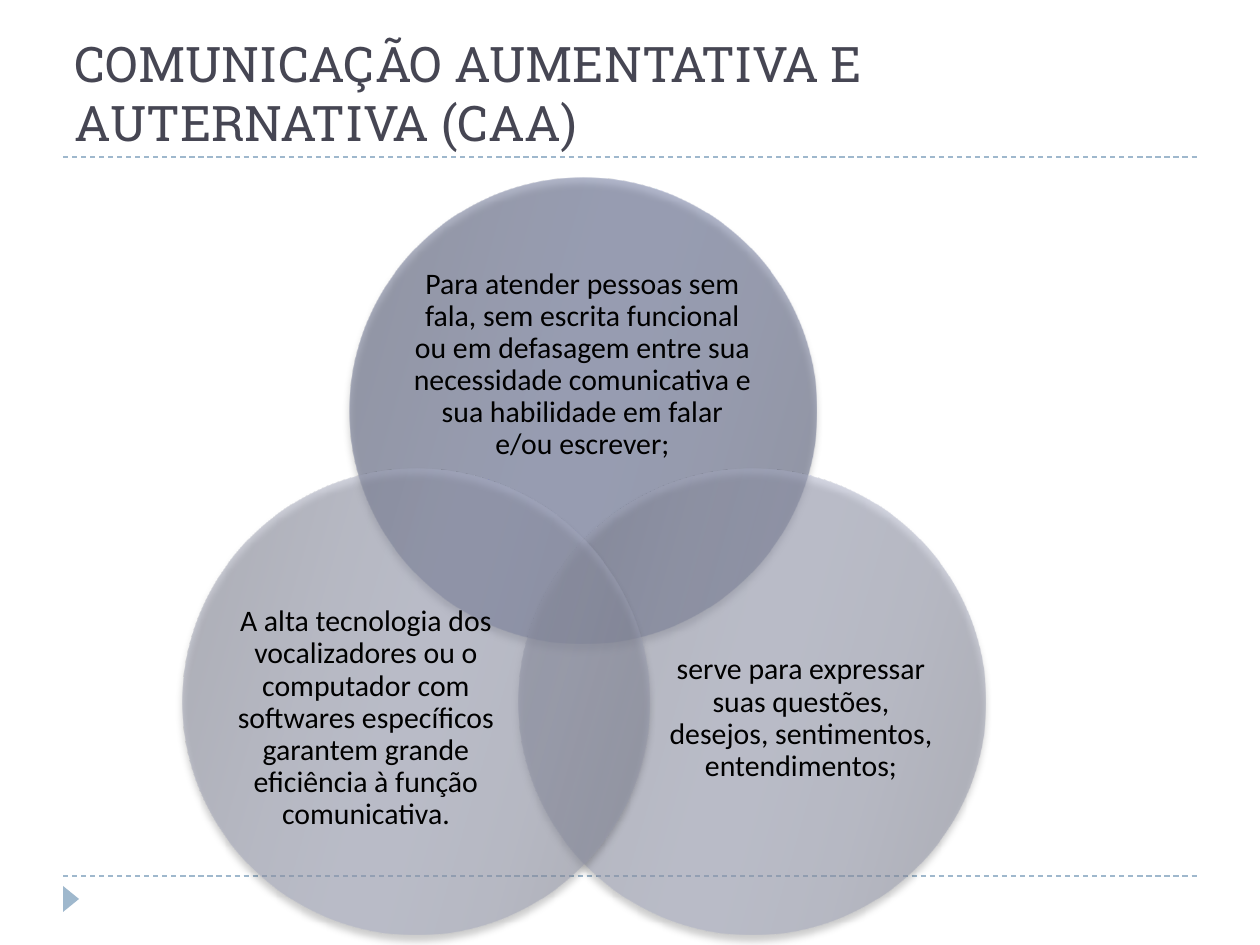
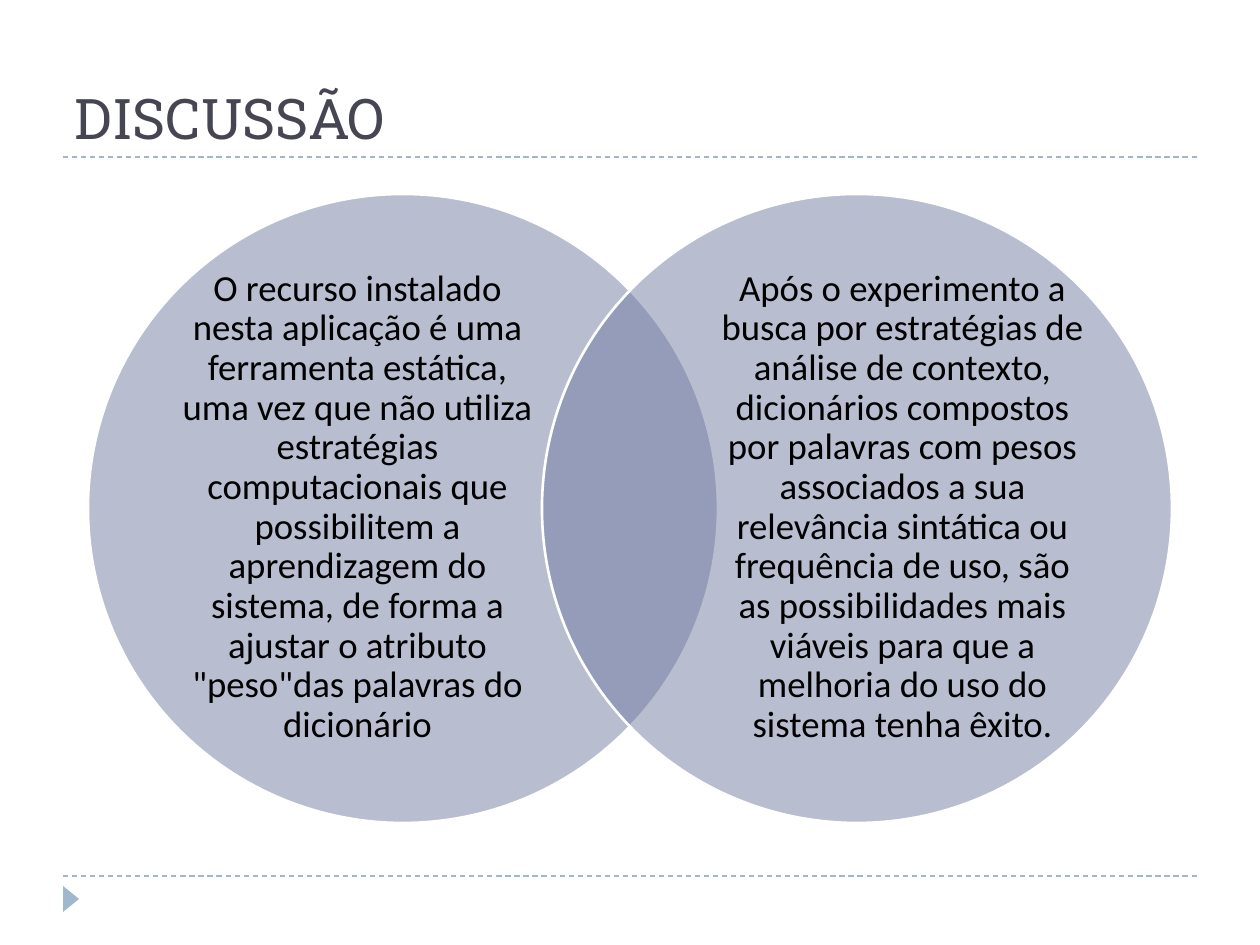
from lxml import etree
from pptx import Presentation
from pptx.dml.color import RGBColor
from pptx.enum.dml import MSO_LINE
from pptx.enum.shapes import MSO_CONNECTOR, MSO_SHAPE
from pptx.enum.text import MSO_ANCHOR, PP_ALIGN
from pptx.oxml.ns import qn
from pptx.util import Emu, Pt

OVAL = MSO_SHAPE.OVAL
TRIANGLE = MSO_SHAPE.ISOSCELES_TRIANGLE
STRAIGHT = MSO_CONNECTOR.STRAIGHT
DASH = MSO_LINE.DASH
BOTTOM, MIDDLE = MSO_ANCHOR.BOTTOM, MSO_ANCHOR.MIDDLE
LEFT, CENTER = PP_ALIGN.LEFT, PP_ALIGN.CENTER

# Colours
WHITE = RGBColor(0xFF, 0xFF, 0xFF)
BLACK = RGBColor(0x00, 0x00, 0x00)
TITLE_GREY = RGBColor(0x46, 0x46, 0x53)
PALE_BLUE = RGBColor(0x9F, 0xB8, 0xCD)
VIOLET = RGBColor(0x72, 0x7C, 0xA3)

# Sheen of a circle: edge, shoulder and centre colours
DARK_SHEEN = (RGBColor(0x55, 0x5C, 0x79), RGBColor(0x61, 0x6A, 0x8F),
              RGBColor(0x63, 0x6E, 0x98))
LIGHT_SHEEN = (RGBColor(0x8B, 0x8E, 0x9E), RGBColor(0xA1, 0xA5, 0xBA),
               RGBColor(0xA7, 0xAC, 0xC3))
SHEEN_STOPS = ((0, 0), (30, 1), (45, 2), (55, 2), (73, 1), (100, 0))
SHEEN_ANGLE = 16

TITLE_FONT, BODY_FONT = "Roboto Slab", "Calibri"
PX_PER_INCH = 126


def px(n):
    return Emu(round(n * 914400 / PX_PER_INCH))


def add_xml(parent, tag, **attrs):
    return etree.SubElement(parent, qn(tag), {k: str(v) for k, v in attrs.items()})


def add_alpha(color, percent):
    add_xml(color, "a:alpha", val=percent * 1000)


class Deck:
    def __init__(self):
        self.prs = Presentation()
        self.prs.slide_width, self.prs.slide_height = px(1260), px(945)
        self.s = None

    def slide(self, title, size):
        self.s = self.prs.slides.add_slide(self.prs.slide_layouts[6])
        self.s.background.fill.solid()
        self.s.background.fill.fore_color.rgb = WHITE
        for y in (876, 157):
            self.rule(y)
        self.marker()
        self.text(title, (63, 21, 1134, 136), size, TITLE_FONT, TITLE_GREY,
                  LEFT, BOTTOM, margins=(12, 6))

    def rule(self, y):
        line = self.s.shapes.add_connector(STRAIGHT, px(63), px(y), px(1197), px(y))
        line.line.color.rgb = PALE_BLUE
        line.line.width = Pt(0.75)
        line.line.dash_style = DASH
        add_xml(line._element.spPr, "a:effectLst")

    def shape(self, kind, box):
        sp = self.s.shapes.add_shape(kind, *map(px, box))
        sp.shadow.inherit = False
        sp.line.fill.background()
        return sp

    def marker(self):
        sp = self.shape(TRIANGLE, (58, 891, 26, 16))
        sp.rotation = 90
        sp.fill.solid()
        sp.fill.fore_color.rgb = PALE_BLUE

    def flat_circle(self, box):
        sp = self.shape(OVAL, box)
        sp.fill.solid()
        sp.fill.fore_color.rgb = VIOLET
        add_alpha(sp._element.spPr.find(".//" + qn("a:srgbClr")), 50)
        sp.line.color.rgb = WHITE
        sp.line.width = Pt(1.5)

    def sheen_circle(self, box, sheen):
        spPr = self.shape(OVAL, box)._element.spPr
        grad = etree.Element(qn("a:gradFill"), rotWithShape="1")
        stops = add_xml(grad, "a:gsLst")
        for pos, shade in SHEEN_STOPS:
            stop = add_xml(stops, "a:gs", pos=pos * 1000)
            add_alpha(add_xml(stop, "a:srgbClr", val=sheen[shade]), 50)
        add_xml(grad, "a:lin", ang=SHEEN_ANGLE * 60000, scaled=0)
        spPr.find(qn("a:prstGeom")).addnext(grad)
        shadow = add_xml(spPr.find(qn("a:effectLst")), "a:outerShdw",
                         blurRad=Pt(4), dist=Pt(3.4), dir=90 * 60000, rotWithShape=0)
        add_alpha(add_xml(shadow, "a:srgbClr", val=BLACK), 40)

    def text(self, words, box, size, font=BODY_FONT, color=BLACK,
             align=CENTER, anchor=MIDDLE, margins=(0, 0), spacing=None):
        tf = self.s.shapes.add_textbox(*map(px, box)).text_frame
        tf.word_wrap = True
        tf.vertical_anchor = anchor
        tf.margin_left = tf.margin_right = px(margins[0])
        tf.margin_top = tf.margin_bottom = px(margins[1])
        tf.text = words
        p = tf.paragraphs[0]
        p.alignment = align
        p.line_spacing = spacing
        r = p.runs[0]
        r.font.size, r.font.name = Pt(size), font
        r.font.color.rgb = color


def caa_slide(deck):
    deck.slide("COMUNICAÇÃO AUMENTATIVA E AUTERNATIVA (CAA)", 28)
    # Three overlapping circles: corner, sheen, text box, words
    size = 466
    circles = (
        ((350, 178), DARK_SHEEN, (412, 260, 341, 210),
         "Para atender pessoas sem fala, sem escrita funcional ou em defasagem "
         "entre sua necessidade comunicativa e sua habilidade em falar e/ou escrever;"),
        ((519, 469), LIGHT_SHEEN, (661, 590, 280, 257),
         "serve para expressar suas questões, desejos, sentimentos, entendimentos;"),
        ((183, 469), LIGHT_SHEEN, (226, 590, 280, 257),
         "A alta tecnologia dos vocalizadores ou o computador com softwares "
         "específicos garantem grande eficiência à função comunicativa."),
    )
    for corner, sheen, text_box, words in circles:
        deck.sheen_circle((*corner, size, size), sheen)
        deck.text(words, text_box, 17, spacing=0.9)


def discussion_slide(deck):
    deck.slide("DISCUSSÃO", 32)
    # Two overlapping circles
    arguments = (
        "O recurso instalado nesta aplicação é uma ferramenta estática, uma vez que "
        "não utiliza estratégias computacionais que possibilitem a aprendizagem do "
        "sistema, de forma a ajustar o atributo \"peso\"das palavras do dicionário",
        "Após o experimento a busca por estratégias de análise de contexto, "
        "dicionários compostos por palavras com pesos associados a sua relevância "
        "sintática ou frequência de uso, são as possibilidades mais viáveis para que "
        "a melhoria do uso do sistema tenha êxito.",
    )
    for i, words in enumerate(arguments):
        deck.flat_circle((88 + 454 * i, 194, 630, 629))
        deck.text(words, (176 + 545 * i, 267, 363, 481), 21, spacing=0.9)


def main():
    deck = Deck()
    caa_slide(deck)
    discussion_slide(deck)
    deck.prs.save("out.pptx")


if __name__ == "__main__":
    main()
